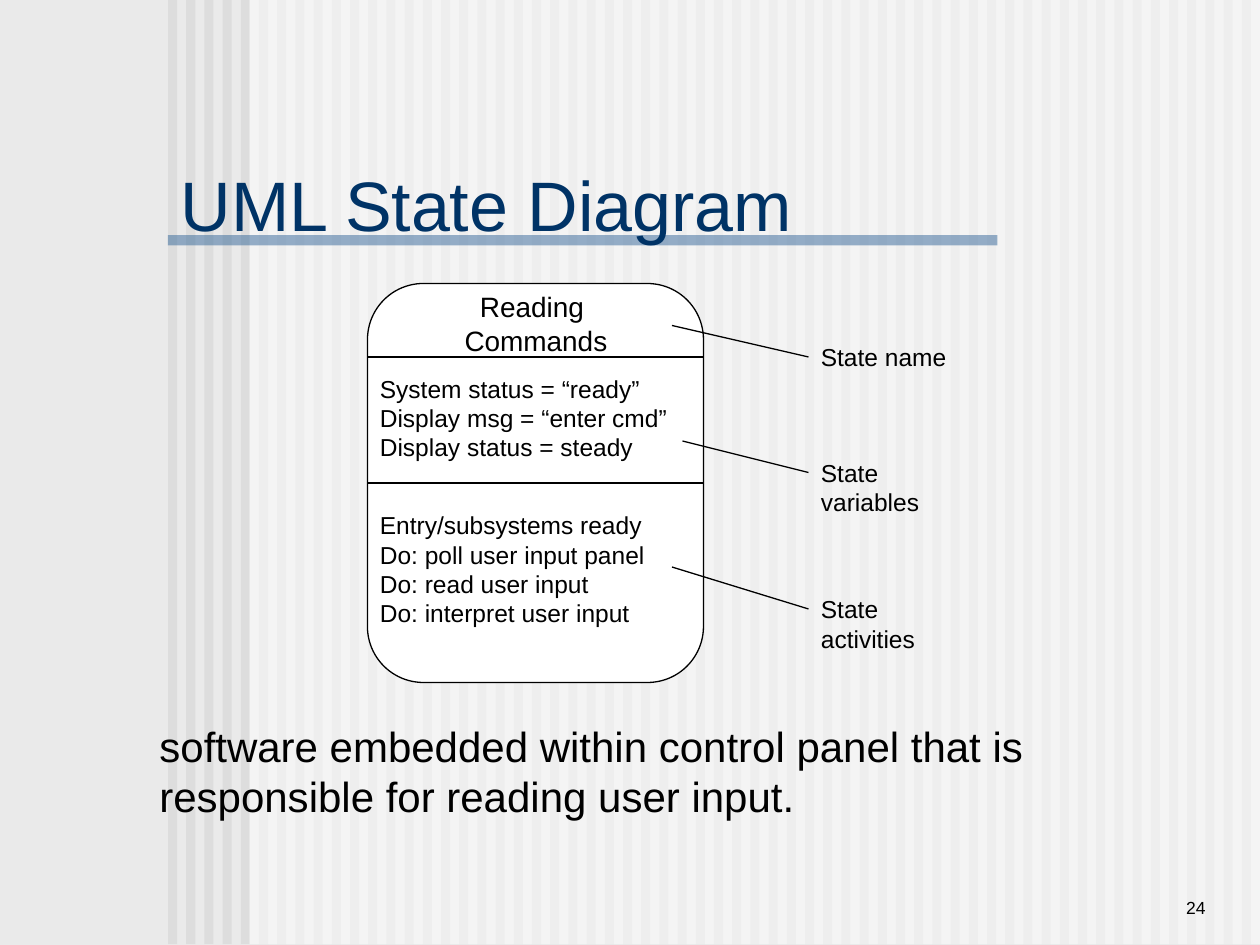
from lxml import etree
from pptx import Presentation
from pptx.dml.color import RGBColor
from pptx.enum.shapes import MSO_CONNECTOR, MSO_SHAPE
from pptx.enum.text import MSO_ANCHOR, PP_ALIGN
from pptx.oxml.ns import qn
from pptx.util import Pt

RECT = MSO_SHAPE.RECTANGLE
ROUND = MSO_SHAPE.ROUNDED_RECTANGLE
STRAIGHT = MSO_CONNECTOR.STRAIGHT
LEFT, CENTER, RIGHT = PP_ALIGN.LEFT, PP_ALIGN.CENTER, PP_ALIGN.RIGHT
TOP, BOTTOM = MSO_ANCHOR.TOP, MSO_ANCHOR.BOTTOM

BLACK = RGBColor(0x00, 0x00, 0x00)
WHITE = RGBColor(0xFF, 0xFF, 0xFF)
PAPER = RGBColor(0xEA, 0xEA, 0xEA)
STRIPE = RGBColor(0xDD, 0xDD, 0xDD)
BLUE = RGBColor(0x33, 0x66, 0x99)
NAVY = RGBColor(0x00, 0x33, 0x66)

WIDTH, HEIGHT = 720, 540
MARGIN = 96
STRIPES, PITCH = 60, 10.4
STATE_X, STATE_W = 210, 192
LABEL_X = 462


def add_box(slide, kind, x, y, w, h, fill, line=None, alpha=None):
    """Add a filled shape; alpha is its opacity in percent."""
    box = slide.shapes.add_shape(kind, Pt(x), Pt(y), Pt(w), Pt(h))
    box.shadow.inherit = False
    box.fill.solid()
    box.fill.fore_color.rgb = fill
    if line is None:
        box.line.fill.background()
    else:
        box.line.color.rgb = line
        box.line.width = Pt(0.75)
    if alpha is not None:
        color = box.element.spPr.find(qn("a:solidFill"))[0]
        etree.SubElement(color, qn("a:alpha")).set("val", str(alpha * 1000))
    return box


def add_line(slide, x1, y1, x2, y2):
    line = slide.shapes.add_connector(STRAIGHT, Pt(x1), Pt(y1), Pt(x2), Pt(y2))
    line.line.color.rgb = BLACK
    line.line.width = Pt(0.75)
    etree.SubElement(line.element.spPr, qn("a:effectLst"))


def style_text(frame, size, color=BLACK, align=LEFT):
    for para in frame.paragraphs:
        para.alignment = align
        para.font.name = "Arial"
        para.font.size = Pt(size)
        para.font.color.rgb = color


def add_text(slide, text, x, y, w, h, size, align=LEFT, anchor=TOP, wrap=True):
    frame = slide.shapes.add_textbox(Pt(x), Pt(y), Pt(w), Pt(h)).text_frame
    frame.word_wrap = wrap
    frame.vertical_anchor = anchor
    frame.text = text
    style_text(frame, size, align=align)


def add_backdrop(slide):
    slide.background.fill.solid()
    slide.background.fill.fore_color.rgb = PAPER
    for i in range(STRIPES):
        add_box(slide, RECT, MARGIN + i * PITCH, 0, PITCH / 2, HEIGHT - 0.5, STRIPE)
    add_box(slide, RECT, 142.5, -0.5, WIDTH - 142.5, HEIGHT, WHITE, alpha=50)
    add_box(slide, RECT, MARGIN, 134.4, 474, 5.8, BLUE, alpha=50)


def set_title(slide, text):
    title = slide.shapes.title
    title.left, title.top = Pt(MARGIN), Pt(90)
    title.width, title.height = Pt(510), Pt(54)
    frame = title.text_frame
    frame.text = text
    frame.vertical_anchor = BOTTOM
    style_text(frame, 40, NAVY)
    # The title lies over the backdrop
    title.element.getparent().append(title.element)


def add_state(slide):
    add_box(slide, ROUND, STATE_X, 162, STATE_W, 228, WHITE, BLACK)
    for y in (204, 276):
        add_line(slide, STATE_X, y, STATE_X + STATE_W, y)
    add_text(slide, "Reading \nCommands", 258, 162, 96.5, 46, 16, CENTER)
    add_text(slide, "System status = “ready”\nDisplay msg = “enter cmd”\n"
             "Display status = steady", STATE_X, 210, 186, 58, 14)
    add_text(slide, "Entry/subsystems ready\nDo: poll user input panel\n"
             "Do: read user input\nDo: interpret user input",
             STATE_X, 288, 186, 91, 14)


def add_label(slide, text, y, w, start, tip):
    """Add a label and the line from it to its part of the state."""
    add_text(slide, text, LABEL_X, y, w, 24.5, 14, wrap=False)
    add_line(slide, LABEL_X, start, *tip)


def main():
    prs = Presentation()
    prs.slide_width, prs.slide_height = Pt(WIDTH), Pt(HEIGHT)
    slide = prs.slides.add_slide(prs.slide_layouts[5])
    add_backdrop(slide)
    set_title(slide, "UML State Diagram")
    add_state(slide)
    add_label(slide, "State name", 192, 86, 204, (384, 186))
    add_label(slide, "State variables", 258, 107, 270, (390, 252))
    add_label(slide, "State activities", 336, 104, 348, (384, 324))
    add_text(slide, "software embedded within control panel that is "
             "responsible for reading user input.", 84, 408, 600, 65, 24)
    add_text(slide, "24", 594, 492, 102, 36, 10, RIGHT, BOTTOM)
    prs.save("out.pptx")


if __name__ == "__main__":
    main()
